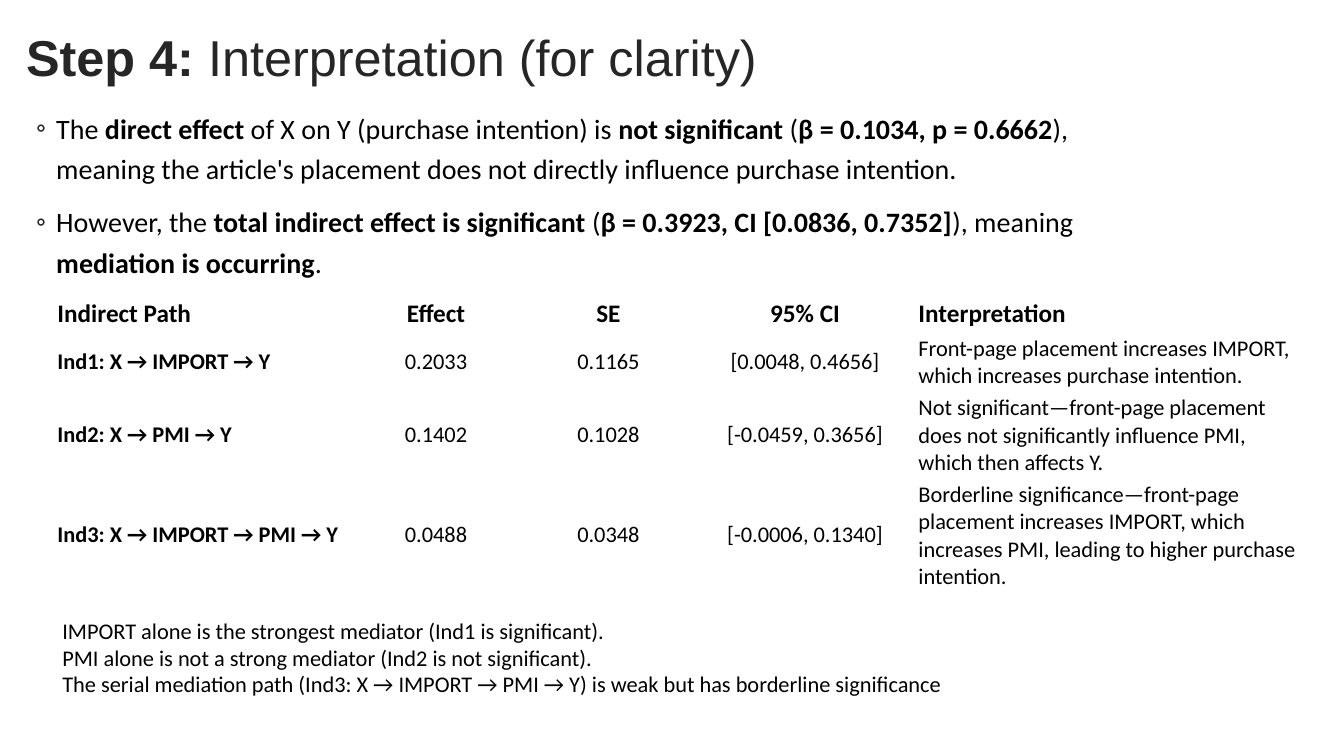
import pptx
import pptx.util
import pptx.dml.color
import pptx.enum.text
import pptx.oxml.ns
import lxml.etree

Inches = pptx.util.Inches
ALIGN = pptx.enum.text.PP_ALIGN
ANCHOR = pptx.enum.text.MSO_ANCHOR


def color(value):
    return pptx.dml.color.RGBColor.from_string(value)


class SlideBuilder:
    body_font = "Calibri"
    title_font = "Arial"
    ink = "000000"
    title_ink = "262626"

    def __init__(self, slide):
        self.slide = slide

    def format_run(self, run, size, bold=False, font=None, ink=None):
        run.font.size = pptx.util.Pt(size)
        run.font.bold = bold
        run.font.name = font or self.body_font
        run.font.color.rgb = color(ink or self.ink)

    def add_runs(self, paragraph, marked, size, **style):
        for position, words in enumerate(marked.split("**")):
            if words:
                run = paragraph.add_run()
                run.text = words
                self.format_run(run, size, position % 2 == 1, **style)

    def text(self, box, lines, size, anchor=ANCHOR.TOP, spacing=None, **style):
        frame = self.slide.shapes.add_textbox(*map(Inches, box)).text_frame
        frame.word_wrap = True
        frame.vertical_anchor = anchor
        for index, line in enumerate(lines):
            paragraph = frame.add_paragraph() if index else frame.paragraphs[0]
            paragraph.line_spacing = spacing
            self.add_runs(paragraph, line, size, **style)
        return frame

    def bullets(self, box, lines, size):
        qn = pptx.oxml.ns.qn
        for paragraph in self.text(box, lines, size, spacing=1.2).paragraphs:
            paragraph.space_before = pptx.util.Pt(9)
            properties = paragraph._p.get_or_add_pPr()
            properties.set("marL", str(Inches(0.2)))
            properties.set("indent", str(Inches(-0.2)))
            bullet_color = lxml.etree.SubElement(properties, qn("a:buClr"))
            lxml.etree.SubElement(bullet_color, qn("a:srgbClr"), val=self.title_ink)
            lxml.etree.SubElement(properties, qn("a:buFont"), typeface=self.body_font)
            lxml.etree.SubElement(properties, qn("a:buChar"), char="◦")

    def table(self, box, widths, heights, rows, centered):
        table = self.slide.shapes.add_table(
            len(rows), len(widths), *map(Inches, box)).table
        table.first_row = False
        table.horz_banding = False
        for column, width in zip(table.columns, widths):
            column.width = Inches(width)
        for r, (height, values) in enumerate(zip(heights, rows)):
            table.rows[r].height = Inches(height)
            for c, value in enumerate(values):
                cell = table.cell(r, c)
                cell.fill.background()
                cell.vertical_anchor = ANCHOR.MIDDLE
                cell.margin_left = cell.margin_right = Inches(0.05)
                cell.margin_top = cell.margin_bottom = Inches(0.03)
                cell.text_frame.text = value
                paragraph = cell.text_frame.paragraphs[0]
                paragraph.alignment = ALIGN.CENTER if c in centered else ALIGN.LEFT
                self.format_run(paragraph.runs[0], 16 if r else 18, r == 0 or c == 0)


def main():
    deck = pptx.Presentation()
    deck.slide_width = Inches(13.33)
    deck.slide_height = Inches(7.5)
    builder = SlideBuilder(deck.slides.add_slide(deck.slide_layouts[6]))

    builder.text((0.16, 0.21, 11, 0.77), ["**Step 4: **Interpretation (for clarity)"], 36,
                 anchor=ANCHOR.MIDDLE, spacing=0.9,
                 font=builder.title_font, ink=builder.title_ink)

    findings = [
        "The **direct effect** of X on Y (purchase intention) is **not significant** "
        "(**β = 0.1034, p = 0.6662**), meaning the article's placement does not "
        "directly influence purchase intention.",
        "However, the **total indirect effect is significant** "
        "(**β = 0.3923, CI [0.0836, 0.7352]**), meaning **mediation is occurring**.",
    ]
    builder.bullets((0.26, 0.99, 11, 4.21), findings, 20)

    indirect_paths = [
        ("Indirect Path", "Effect", "SE", "95% CI", "Interpretation"),
        ("Ind1: X → IMPORT → Y", "0.2033", "0.1165", "[0.0048, 0.4656]",
         "Front-page placement increases IMPORT, which increases purchase intention."),
        ("Ind2: X → PMI → Y", "0.1402", "0.1028", "[-0.0459, 0.3656]",
         "Not significant—front-page placement does not significantly influence PMI, "
         "which then affects Y."),
        ("Ind3: X → IMPORT → PMI → Y", "0.0488", "0.0348", "[-0.0006, 0.1340]",
         "Borderline significance—front-page placement increases IMPORT, which "
         "increases PMI, leading to higher purchase intention."),
    ]
    builder.table((0.52, 2.93, 12.42, 2.91), (2.97, 1.67, 1.75, 2.15, 3.88),
                  (0.35, 0.59, 0.86, 1.11), indirect_paths, centered=(1, 2, 3))

    conclusions = [
        "IMPORT alone is the strongest mediator (Ind1 is significant).",
        "PMI alone is not a strong mediator (Ind2 is not significant).",
        "The serial mediation path (Ind3: X → IMPORT → PMI → Y) is weak but has "
        "borderline significance",
    ]
    builder.text((0.52, 6.07, 11.78, 0.94), conclusions, 16)

    deck.save("out.pptx")


if __name__ == "__main__":
    main()
